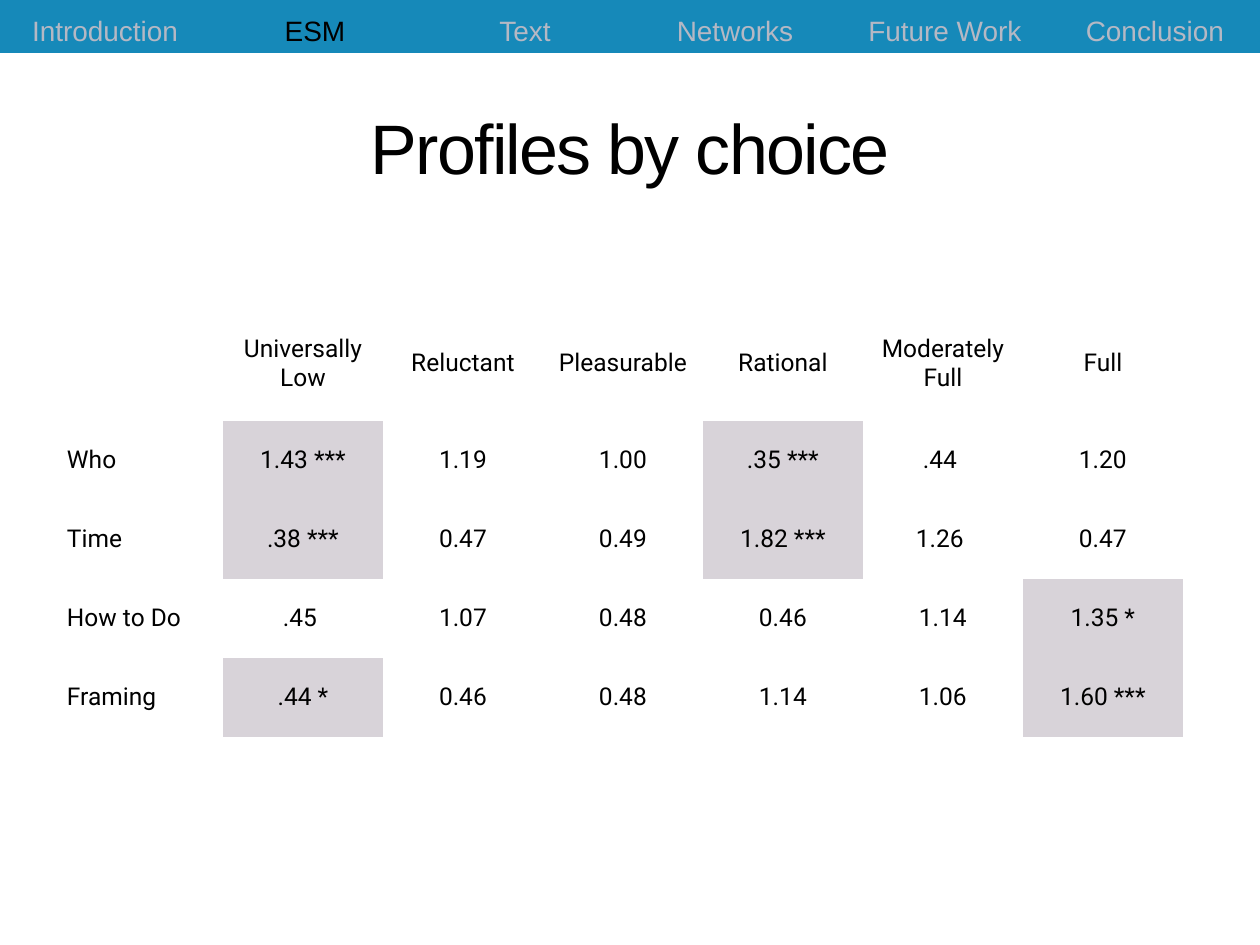
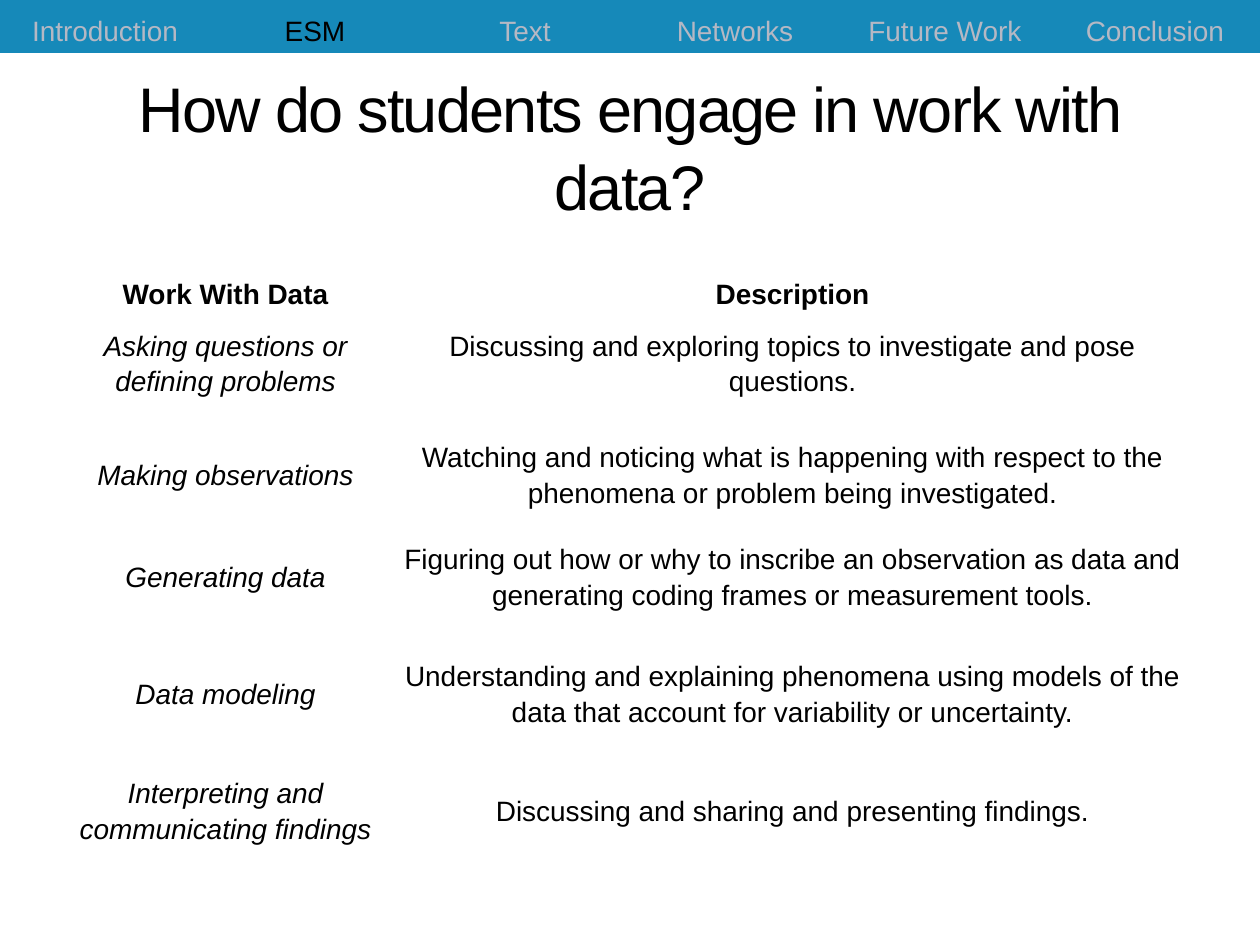
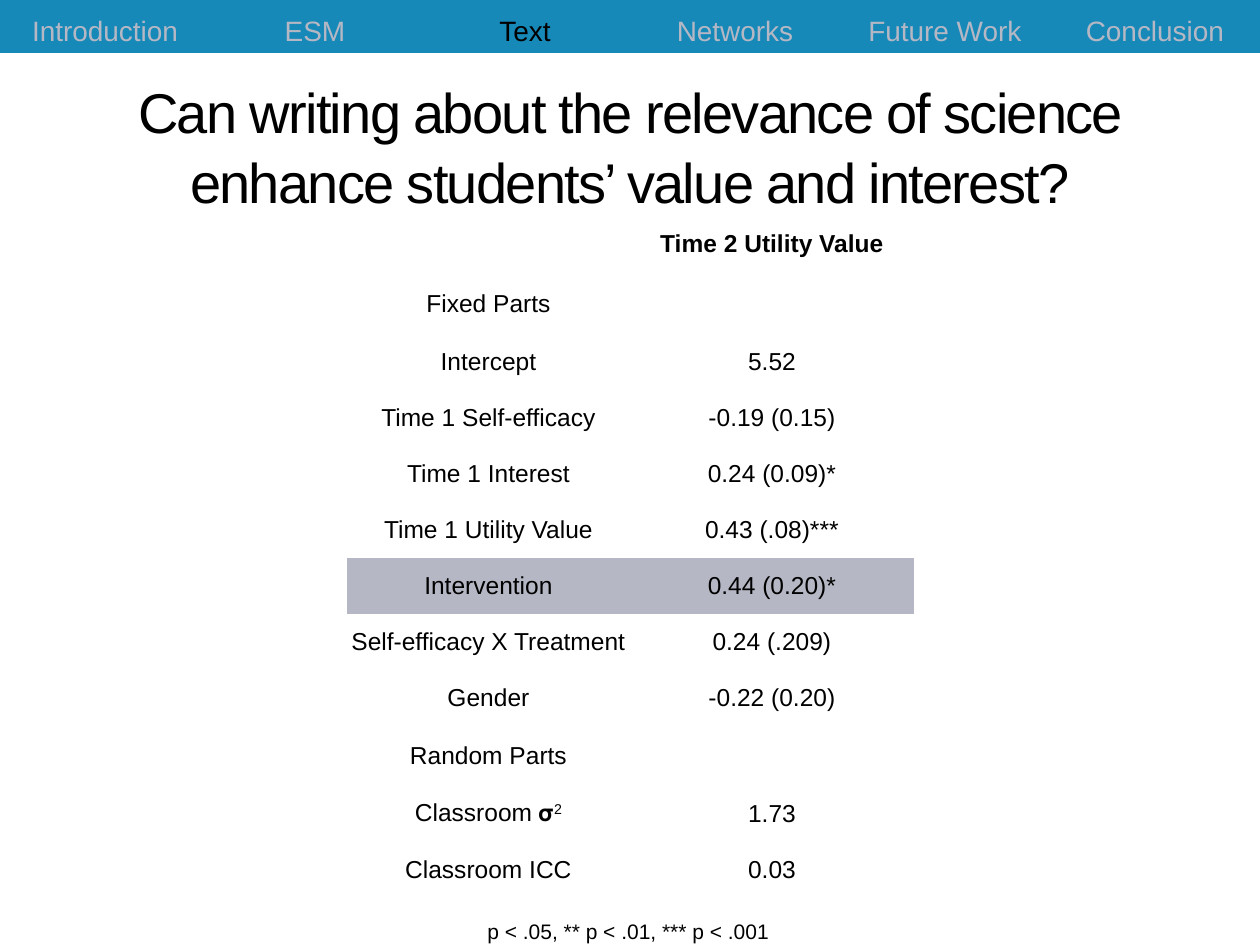
from dataclasses import dataclass
from typing import Optional

from lxml.etree import SubElement
from pptx import Presentation
from pptx.dml.color import RGBColor
from pptx.enum.shapes import MSO_SHAPE
from pptx.enum.text import MSO_ANCHOR, MSO_AUTO_SIZE, PP_ALIGN
from pptx.oxml.ns import qn
from pptx.util import Emu, Pt

PX = 914400 / 126
NO_GRID = "{2D5ABB26-0587-4C30-8999-92F81FD0307C}"
SECTIONS = ["Introduction", "ESM", "Text", "Networks", "Future Work", "Conclusion"]


def px(*lengths):
    """Turn pixel lengths into EMU."""
    return [Emu(round(length * PX)) for length in lengths]


@dataclass(frozen=True)
class Theme:
    """Colours, fonts and type sizes shared by all slides."""

    band: str = "1689B9"
    ink: str = "000000"
    paper: str = "FFFFFF"
    muted: str = "B5B8C4"
    significant: str = "D8D3D9"
    face: str = "Arial"
    profile_face: str = "Roboto"
    symbol_face: str = "Cambria"
    short_title_size: int = 40
    title_size: int = 36
    long_title_size: int = 32
    nav_size: int = 16
    body_size: int = 16
    data_size: int = 14
    note_size: int = 12


@dataclass(frozen=True)
class Span:
    """A stretch of text with one format."""

    text: str
    color: Optional[str] = None
    face: Optional[str] = None
    bold: bool = False
    italic: bool = False
    raised: bool = False


@dataclass(frozen=True)
class Cell:
    """The content of one table cell."""

    spans: tuple = ()
    fill: Optional[str] = None
    align: PP_ALIGN = PP_ALIGN.CENTER


@dataclass(frozen=True)
class Look:
    """How the cells of one table are set."""

    size: int
    face: str
    margins: tuple
    anchor: MSO_ANCHOR = MSO_ANCHOR.MIDDLE
    leading: Optional[float] = None
    border: Optional[str] = None


class Deck:
    """Holds the theme and the current slide, and draws elements on it."""

    def __init__(self, theme):
        self.theme = theme
        self.prs = Presentation()
        self.prs.slide_width, self.prs.slide_height = px(1260, 945)
        self.slide = None

    def start(self, heading, size, section):
        """Open a slide with its title and navigation."""
        self.slide = self.prs.slides.add_slide(self.prs.slide_layouts[5])
        if len(self.prs.slides) == 1:
            self.share_band()
        self.title(heading, size)
        self.navigation(section)

    def share_band(self):
        """Put the top band on the slide master, behind everything."""
        band = self.slide.shapes.add_shape(MSO_SHAPE.RECTANGLE, *px(0, 0, 1260, 50))
        band.shadow.inherit = False
        band.fill.solid()
        band.fill.fore_color.rgb = RGBColor.from_string(self.theme.band)
        band.line.fill.background()
        next(band.element.iter(qn("p:cNvPr"))).set("id", "20")
        self.prs.slide_master.shapes.element.insert(2, band.element)

    def add_span(self, paragraph, span, size, face):
        """Add one run to a paragraph and return its properties."""
        run = paragraph.add_run()
        run.text = span.text
        run.font.size = Pt(size)
        run.font.name = span.face or face
        run.font.bold = span.bold
        run.font.italic = span.italic
        run.font.color.rgb = RGBColor.from_string(span.color or self.theme.ink)
        properties = run._r.get_or_add_rPr()
        if span.raised:
            properties.set("baseline", "30000")
        return properties

    def title(self, heading, size):
        """Fill the title placeholder."""
        title = self.slide.shapes.title
        title.left, title.top, title.width, title.height = px(63, 73, 1134, 136)
        frame = title.text_frame
        frame.word_wrap = True
        frame.auto_size = MSO_AUTO_SIZE.NONE
        frame.vertical_anchor = MSO_ANCHOR.MIDDLE
        frame.margin_top, frame.margin_bottom = px(14, 6)
        paragraph = frame.paragraphs[0]
        paragraph.alignment = PP_ALIGN.CENTER
        paragraph.line_spacing = 1.04
        self.add_span(paragraph, Span(heading), size, self.theme.face).set("spc", "-100")

    def navigation(self, current):
        """Draw the section bar with the current section in ink."""
        theme = self.theme
        sections = [
            Cell((Span(name, theme.ink if name == current else theme.muted),), theme.band)
            for name in SECTIONS
        ]
        look = Look(theme.nav_size, theme.face, (13, 6, 13, 6), MSO_ANCHOR.BOTTOM)
        self.table(0, -4, [210] * len(sections), [57], [sections], look)

    def table(self, left, top, widths, heights, rows, look):
        """Draw a table from rows of cells."""
        frame = self.slide.shapes.add_table(
            len(heights), len(widths), *px(left, top, sum(widths), sum(heights))
        )
        next(frame.element.iter(qn("a:tableStyleId"))).text = NO_GRID
        grid = frame.table
        grid.first_row = grid.horz_banding = False
        for column, width in zip(grid.columns, px(*widths)):
            column.width = width
        for row, height, contents in zip(grid.rows, px(*heights), rows):
            row.height = height
            for target, content in zip(row.cells, contents):
                self.cell(target, content, look)

    def cell(self, target, content, look):
        """Fill and format one table cell."""
        (target.margin_left, target.margin_top,
         target.margin_right, target.margin_bottom) = px(*look.margins)
        target.vertical_anchor = look.anchor
        if content.fill:
            target.fill.solid()
            target.fill.fore_color.rgb = RGBColor.from_string(content.fill)
        else:
            target.fill.background()
        if look.border:
            self.border(target, look.border)
        paragraph = target.text_frame.paragraphs[0]
        paragraph.alignment = content.align
        if look.leading:
            paragraph.line_spacing = look.leading
        for span in content.spans:
            self.add_span(paragraph, span, look.size, look.face)

    def border(self, target, color):
        """Rule all four sides of a cell."""
        properties = target._tc.get_or_add_tcPr()
        for position, side in enumerate(("lnL", "lnR", "lnT", "lnB")):
            rule = SubElement(properties, qn(f"a:{side}"), w=str(Pt(1)))
            SubElement(SubElement(rule, qn("a:solidFill")), qn("a:srgbClr"), val=color)
            properties.insert(position, rule)

    def note(self, text, left, top, width, height):
        """Add a one-line note that does not wrap."""
        frame = self.slide.shapes.add_textbox(*px(left, top, width, height)).text_frame
        frame.word_wrap = False
        frame.auto_size = MSO_AUTO_SIZE.SHAPE_TO_FIT_TEXT
        self.add_span(frame.paragraphs[0], Span(text), self.theme.note_size, self.theme.face)


def profiles_slide(deck):
    """Show profiles by choice, with significant values shaded."""
    theme = deck.theme
    profiles = ["", "Universally Low", "Reluctant", "Pleasurable", "Rational",
                "Moderately Full", "Full"]
    choices = [
        ["Who", "1.43 ***", "1.19", "1.00", ".35 ***", ".44 ", "1.20"],
        ["Time", ".38 ***", "0.47", "0.49", "1.82 ***", "1.26 ", "0.47"],
        ["How to Do", ".45 ", "1.07", "0.48", "0.46", "1.14", "1.35 *"],
        ["Framing", ".44 *", "0.46", "0.48", "1.14", "1.06", "1.60 ***"],
    ]
    rows = [[Cell((Span(name),) if name else ()) for name in profiles]]
    for choice, *values in choices:
        rows.append([Cell((Span(choice),), align=PP_ALIGN.LEFT)] + [
            Cell((Span(value),), theme.significant if "*" in value else None)
            for value in values
        ])
    deck.start("Profiles by choice", theme.short_title_size, "ESM")
    look = Look(theme.data_size, theme.profile_face, (4, 4, 4, 4))
    deck.table(63, 306, [160] * 7, [115] + [79] * 4, rows, look)


def data_work_slide(deck):
    """Describe the kinds of work with data."""
    theme = deck.theme
    practices = [
        ("Asking questions or defining problems",
         "Discussing and exploring topics to investigate and pose questions."),
        ("Making observations",
         "Watching and noticing what is happening with respect to the phenomena "
         "or problem being investigated."),
        ("Generating data",
         "Figuring out how or why to inscribe an observation as data and "
         "generating coding frames or measurement tools."),
        ("Data modeling",
         "Understanding and explaining phenomena using models of the data that "
         "account for variability or uncertainty."),
        ("Interpreting and communicating findings",
         "Discussing and sharing and presenting findings."),
    ]
    rows = [[Cell((Span(head, bold=True),)) for head in ("Work With Data", "Description")]]
    rows += [[Cell((Span(practice, italic=True),)), Cell((Span(description),))]
             for practice, description in practices]
    deck.start("How do students engage in work with data?", theme.title_size, "ESM")
    look = Look(theme.body_size, theme.face, (9, 0, 9, 0), leading=1.15, border=theme.paper)
    deck.table(63, 271, [325, 809], [44, 94, 130, 74, 160, 74], rows, look)


def utility_slide(deck):
    """Show the model of utility value, with the intervention shaded."""
    theme = deck.theme
    variance = (Span("Classroom "), Span("𝞂", face=theme.symbol_face),
                Span("2", raised=True))
    effects = [
        ("Fixed Parts", ""),
        ("Intercept", "5.52"),
        ("Time 1 Self-efficacy", "-0.19 (0.15)"),
        ("Time 1 Interest", "0.24 (0.09)*"),
        ("Time 1 Utility Value", "0.43 (.08)***"),
        ("Intervention", "0.44 (0.20)*"),
        ("Self-efficacy X Treatment", "0.24 (.209)"),
        ("Gender", "-0.22 (0.20)"),
        ("Random Parts", ""),
        (variance, "1.73"),
        ("Classroom ICC", "0.03"),
    ]
    rows = [[Cell(), Cell((Span("Time 2 Utility Value", bold=True),))]]
    for effect, estimate in effects:
        shade = theme.muted if effect == "Intervention" else None
        label = (Span(effect),) if isinstance(effect, str) else effect
        rows.append([Cell(label, shade), Cell((Span(estimate),) if estimate else (), shade)])
    heights = [61] + [56 if estimate else 60 for _, estimate in effects]
    deck.start("Can writing about the relevance of science enhance students’ "
               "value and interest?", theme.long_title_size, "Text")
    look = Look(theme.data_size, theme.face, (1, 1, 1, 1))
    deck.table(347, 213, [283, 284], heights, rows, look)
    deck.note("p < .05, ** p < .01, *** p < .001", 475, 912, 310, 38)


def main():
    """Build the three slides and save them."""
    deck = Deck(Theme())
    profiles_slide(deck)
    data_work_slide(deck)
    utility_slide(deck)
    deck.prs.save("out.pptx")


if __name__ == "__main__":
    main()
